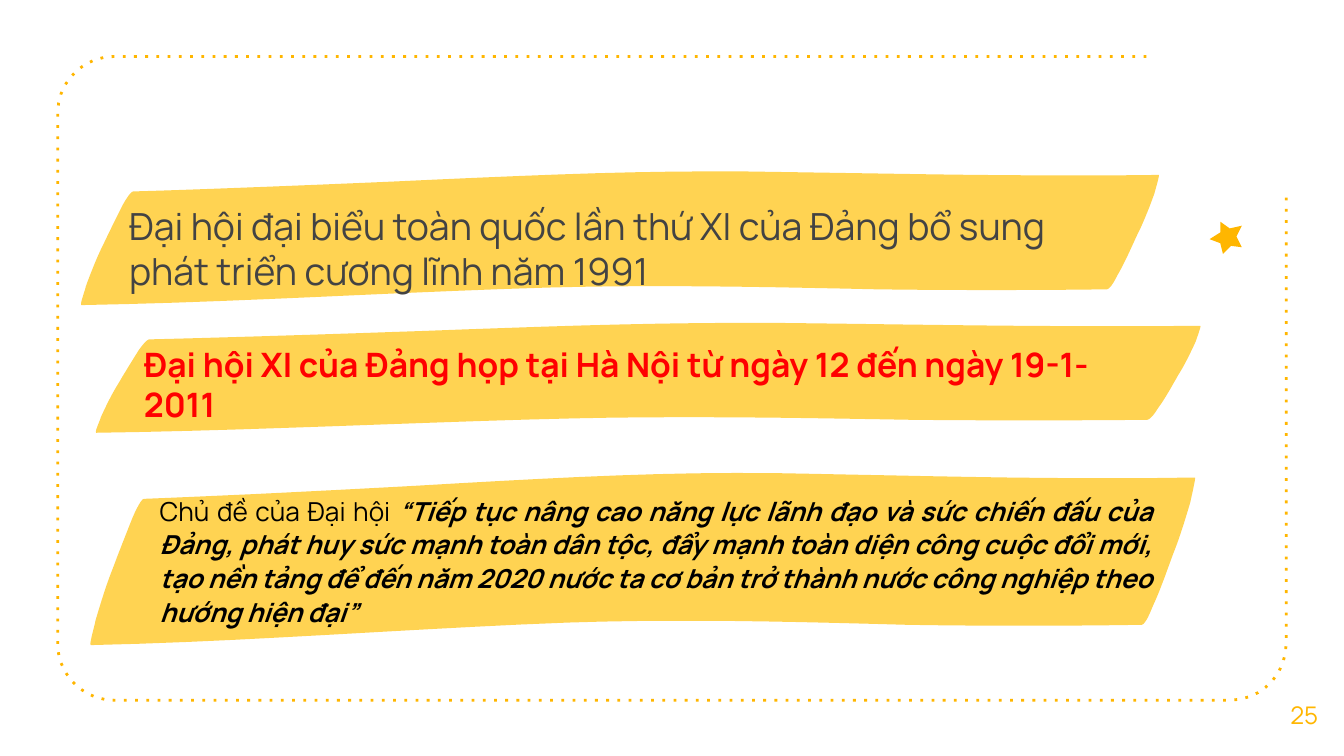
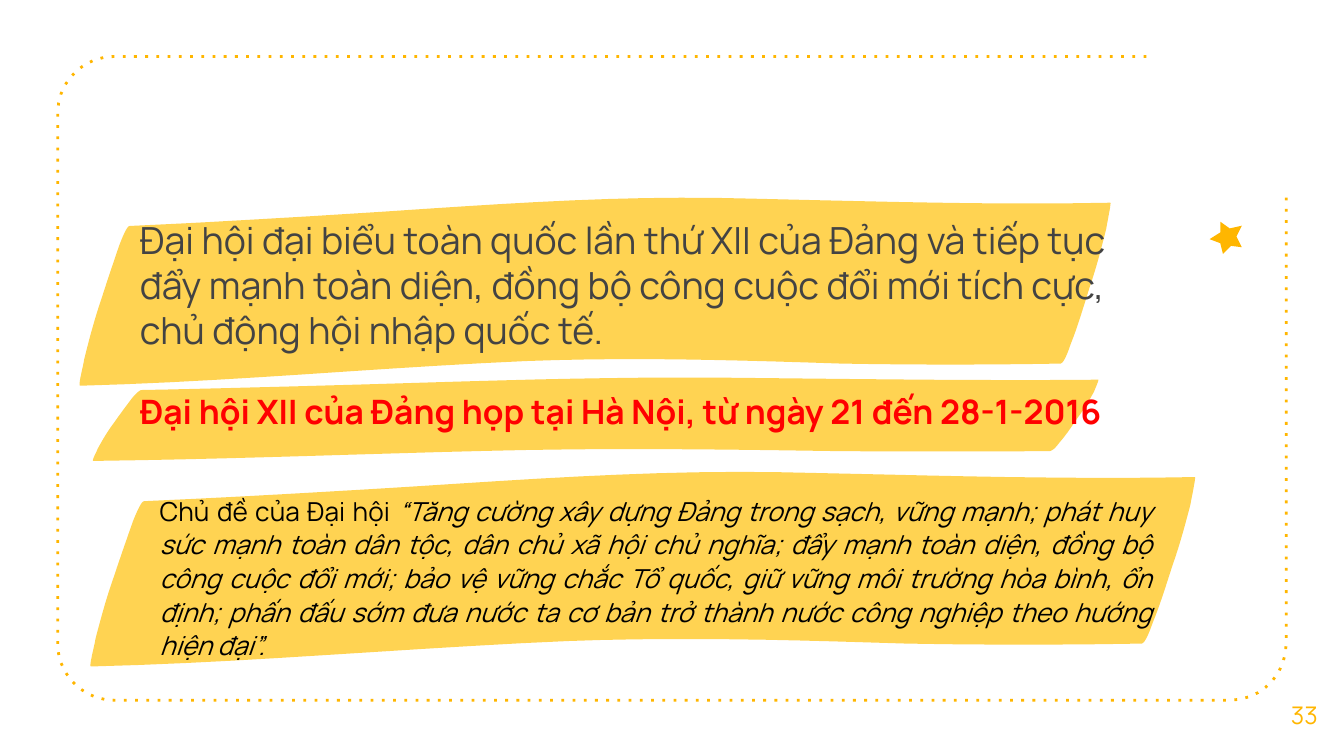
from math import cos, radians, sin

from pptx import Presentation
from pptx.dml.color import RGBColor
from pptx.enum.dml import MSO_LINE
from pptx.enum.text import MSO_ANCHOR, MSO_AUTO_SIZE, PP_ALIGN
from pptx.oxml.ns import qn
from pptx.util import Inches, Pt

AMBER = RGBColor(0xFF, 0xB6, 0x00)
BRUSH_YELLOW = RGBColor(0xFF, 0xD3, 0x52)
TITLE_GREY = RGBColor(0x43, 0x43, 0x43)
DATE_RED = RGBColor(0xFF, 0x00, 0x00)
BLACK = RGBColor(0x00, 0x00, 0x00)
FONT = "Manrope"

# Brush stroke in percent of its box: a start, then cubic curves
# (two control points and an end point each).
BRUSH_START = (0.2, 100)
BRUSH_CURVES = [
    ((0, 100), (0.6, 87.8), (0.6, 86.4)),
    ((1.1, 75.5), (1.6, 65.3), (2.2, 55.8)),
    ((2.8, 45.6), (3.4, 36.1), (4, 26.5)),
    ((4.1, 25.2), (4.7, 16.3), (5, 16.3)),
    ((13.2, 14.3), (21.4, 11.6), (29.6, 8.8)),
    ((42.4, 4.1), (53.4, 0), (65.4, 2)),
    ((76.9, 3.4), (88.5, 5.4), (99.9, 4.1)),
    ((100, 4.1), (99.5, 17), (99.5, 17.7)),
    ((99, 28.6), (98.5, 38.8), (97.9, 48.3)),
    ((97.3, 58.5), (96.8, 68), (96.1, 77.6)),
    ((96, 78.9), (95.5, 87.8), (95.1, 88.4)),
    ((88, 89.1), (80.8, 89.1), (73.8, 88.4)),
    ((62.7, 86.4), (53.4, 85), (43.3, 87.1)),
    ((29, 90.5), (14.6, 98), (0.2, 100)),
]
CURVE_STEPS = 10

STAR = [(9.24, 1.68), (9.15, 1.7), (9.08, 1.65), (9.08, 1.73), (9, 1.78),
        (9.08, 1.81), (9.1, 1.89), (9.16, 1.83), (9.24, 1.84), (9.2, 1.76)]

CONGRESSES = [
    {
        "number": "25",
        "bands": [(0.59, 1.26, 8.04, 1.01), (0.7, 2.39, 8.24, 0.83),
                  (0.66, 3.5, 8.24, 1.3)],
        "title": "Đại hội đại biểu toàn quốc lần thứ XI của Đảng bổ sung "
                 "phát triển cương lĩnh năm 1991",
        "title_box": (0.86, 1.01, 7.49, 1.27),
        "date": "Đại hội XI của Đảng họp tại Hà Nội từ ngày 12 đến ngày "
                "19-1-2011",
        "date_box": (0.97, 2.46, 7.72, 0.86),
        "theme": "“Tiếp tục nâng cao năng lực lãnh đạo và sức chiến đấu của "
                 "Đảng, phát huy sức mạnh toàn dân tộc, đẩy mạnh toàn diện "
                 "công cuộc đổi mới, tạo nền tảng để đến năm 2020 nước ta cơ "
                 "bản trở thành nước công nghiệp theo hướng hiện đại”",
        "theme_bold": True,
    },
    {
        "number": "33",
        "bands": [(0.58, 1.45, 7.69, 1.42), (0.68, 2.8, 7.5, 0.63),
                  (0.66, 3.49, 8.24, 1.47)],
        "title": "Đại hội đại biểu toàn quốc lần thứ XII của Đảng và tiếp tục "
                 "đẩy mạnh toàn diện, đồng bộ công cuộc đổi mới tích cực, chủ "
                 "động hội nhập quốc tế.",
        "title_box": (0.94, 1.45, 7.49, 1.27),
        "date": "Đại hội XII của Đảng họp tại Hà Nội, từ ngày 21 đến 28-1-2016",
        "date_box": (0.94, 2.81, 7.72, 0.71),
        "theme": "“Tăng cường xây dựng Đảng trong sạch, vững mạnh; phát huy "
                 "sức mạnh toàn dân tộc, dân chủ xã hội chủ nghĩa; đẩy mạnh "
                 "toàn diện, đồng bộ công cuộc đổi mới; bảo vệ vững chắc Tổ "
                 "quốc, giữ vững môi trường hòa bình, ổn định; phấn đấu sớm "
                 "đưa nước ta cơ bản trở thành nước công nghiệp theo hướng "
                 "hiện đại”.",
        "theme_bold": False,
    },
]


def add_outline(page, points, fill=None):
    """Draw a freeform through points in inches; closed if it has a fill."""
    corners = [(Inches(x), Inches(y)) for x, y in points]
    builder = page.shapes.build_freeform(*corners[0])
    builder.add_line_segments(corners[1:], close=fill is not None)
    shape = builder.convert_to_shape()
    shape.shadow.inherit = False
    if fill is None:
        shape.fill.background()
    else:
        shape.fill.solid()
        shape.fill.fore_color.rgb = fill
        shape.line.fill.background()
    return shape


def brush_points():
    points = [BRUSH_START]
    for first, second, end in BRUSH_CURVES:
        start = points[-1]
        for step in range(1, CURVE_STEPS + 1):
            t = step / CURVE_STEPS
            u = 1 - t
            points.append(tuple(
                u**3 * a + 3 * u * u * t * b + 3 * u * t * t * c + t**3 * d
                for a, b, c, d in zip(start, first, second, end)))
    return points


def add_band(page, box):
    left, top, width, height = box
    points = [(left + x * width / 100, top + y * height / 100)
              for x, y in brush_points()]
    add_outline(page, points, BRUSH_YELLOW)


def corner_arc(x, y, start):
    """Quarter circle that turns back from the start angle."""
    return [(x + 0.42 * cos(radians(start - turn)),
             y + 0.42 * sin(radians(start - turn)))
            for turn in range(0, 91, 10)]


def add_frame_to_layout(page):
    points = [(8.53, 0.42)]
    points += corner_arc(0.85, 0.84, 270)
    points += corner_arc(0.85, 4.79, 180)
    points += corner_arc(9.15, 4.79, 90)
    points.append((9.57, 1.46))
    frame = add_outline(page, points)
    frame.line.color.rgb = AMBER
    frame.line.width = Pt(1.5)
    frame.line.dash_style = MSO_LINE.ROUND_DOT
    next(frame.element.iter(qn("a:prstDash"))).set("val", "dot")
    page.slide_layout.shapes.element.append(frame.element)


def format_span(span, size, color, bold=False, italic=False):
    span.font.name = FONT
    span.font.size = Pt(size)
    span.font.color.rgb = color
    span.font.bold = bold
    span.font.italic = italic


def prepare_frame(box, anchor, inset=0.1):
    frame = box.text_frame
    frame.word_wrap = True
    frame.auto_size = MSO_AUTO_SIZE.NONE
    frame.vertical_anchor = anchor
    frame.margin_left = frame.margin_right = Inches(0.1)
    frame.margin_top = frame.margin_bottom = Inches(inset)
    return frame


def fill_placeholder(page, holder, box, text, anchor, size, color,
                     bold=False, before=0):
    """Move a placeholder to the front and give it one left-set paragraph."""
    page.shapes.element.append(holder.element)
    holder.left, holder.top, holder.width, holder.height = map(Inches, box)
    frame = prepare_frame(holder, anchor)
    frame.text = text
    para = frame.paragraphs[0]
    para.alignment = PP_ALIGN.LEFT
    para.line_spacing = 1.0
    para.space_before = Pt(before)
    format_span(para.runs[0], size, color, bold)


def add_page_number(page, number):
    box = page.shapes.add_textbox(*map(Inches, (9.41, 5.02, 0.59, 0.6)))
    frame = prepare_frame(box, MSO_ANCHOR.MIDDLE)
    frame.text = number
    para = frame.paragraphs[0]
    para.alignment = PP_ALIGN.CENTER
    format_span(para.runs[0], 13, AMBER)


def add_theme(page, theme, bold):
    box = page.shapes.add_textbox(*map(Inches, (1.09, 3.62, 7.59, 1.09)))
    frame = prepare_frame(box, MSO_ANCHOR.TOP, 0.05)
    frame.auto_size = MSO_AUTO_SIZE.SHAPE_TO_FIT_TEXT
    frame.text = "Chủ đề của Đại hội "
    para = frame.paragraphs[0]
    para.alignment = PP_ALIGN.JUSTIFY
    para.line_spacing = 1.07
    para.space_before = para.space_after = Pt(3)
    format_span(para.runs[0], 14, BLACK)
    quote = para.add_run()
    quote.text = theme
    format_span(quote, 14, BLACK, bold, italic=True)


def add_congress(page, congress):
    title_band, date_band, theme_band = congress["bands"]
    add_band(page, title_band)
    add_band(page, date_band)
    fill_placeholder(page, page.shapes.title, congress["title_box"],
                     congress["title"], MSO_ANCHOR.BOTTOM, 20, TITLE_GREY)
    fill_placeholder(page, page.placeholders[1], congress["date_box"],
                     congress["date"], MSO_ANCHOR.TOP, 18, DATE_RED,
                     bold=True, before=6)
    add_outline(page, STAR, AMBER)
    add_page_number(page, congress["number"])
    add_band(page, theme_band)
    add_theme(page, congress["theme"], congress["theme_bold"])


def main():
    deck = Presentation()
    deck.slide_width = Inches(10)
    deck.slide_height = deck.slide_width * 9 // 16
    layout = deck.slide_layouts[0]
    pages = [deck.slides.add_slide(layout) for _ in CONGRESSES]
    add_frame_to_layout(pages[0])
    for page, congress in zip(pages, CONGRESSES):
        add_congress(page, congress)
    deck.save("out.pptx")


if __name__ == "__main__":
    main()
